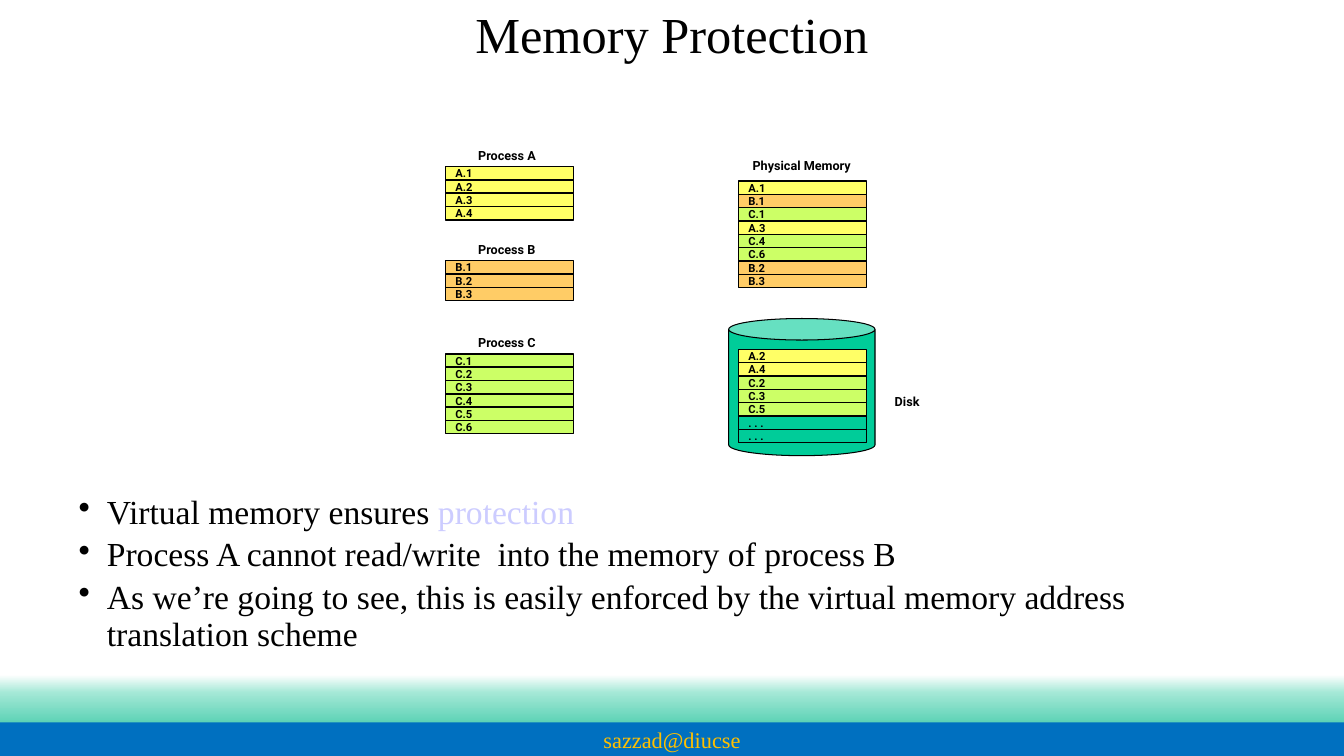
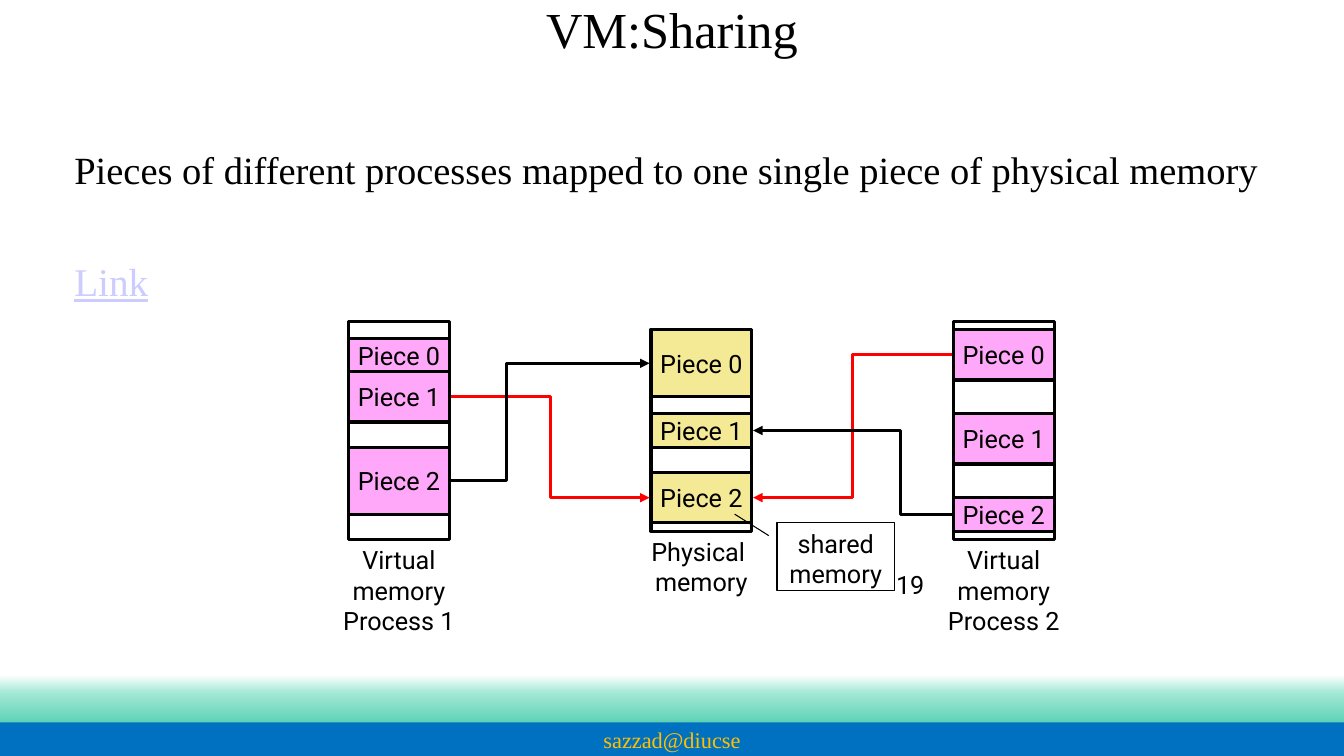
from dataclasses import dataclass

from pptx import Presentation
from pptx.dml.color import RGBColor as RGB
from pptx.enum.shapes import MSO_CONNECTOR as LINK, MSO_SHAPE as KIND
from pptx.enum.text import MSO_ANCHOR as ANCHOR, PP_ALIGN as ALIGN
from pptx.oxml.ns import qn
from pptx.util import Pt
from lxml.etree import SubElement as sub


@dataclass(frozen=True)
class Theme:
    serif: str = "Times New Roman"
    sans: str = "Roboto"
    black: str = "000000"
    white: str = "FFFFFF"
    blue: str = "0070C0"
    gold: str = "FFC000"
    mint: str = "A3E8D6"
    sea: str = "5CD2B5"
    lilac: str = "CCCCFF"
    yellow: str = "FFFF66"
    orange: str = "FFCC66"
    lime: str = "CCFF66"
    green: str = "00CC99"
    pink: str = "FFA7F9"
    sand: str = "F4E994"
    red: str = "FF0000"
    title: float = 36
    lead: float = 27.5
    link: float = 28
    body: float = 24
    label: float = 18
    foot: float = 16
    small: float = 9
    cell: float = 8


T = Theme()
WIDE, HIGH = 960, 540


def box(slide, kind, rect, fill=None, line=None, weight=1):
    """Add a preset shape, or a text box when kind is None."""
    rect = [Pt(n) for n in rect]
    if kind is None:
        return slide.shapes.add_textbox(*rect)
    shape = slide.shapes.add_shape(kind, *rect)
    shape.shadow.inherit = False
    if fill:
        shape.fill.solid()
        shape.fill.fore_color.rgb = RGB.from_string(fill)
    else:
        shape.fill.background()
    if line:
        shape.line.color.rgb = RGB.from_string(line)
        shape.line.width = Pt(weight)
    else:
        shape.line.fill.background()
    return shape


def write(shape, text, size, font=T.sans, color=T.black, bold=False,
          align=ALIGN.CENTER, anchor=ANCHOR.TOP, wrap=True, pad=(7.2, 3.6)):
    """Fill a shape with text, one paragraph a line; pad is (side, top)."""
    frame = shape.text_frame
    frame.text = text
    frame.word_wrap = wrap
    frame.vertical_anchor = anchor
    frame.margin_left = frame.margin_right = Pt(pad[0])
    frame.margin_top = frame.margin_bottom = Pt(pad[1])
    for para in frame.paragraphs:
        para.alignment = align
        for run in para.runs:
            run.font.name = font
            run.font.size = Pt(size)
            run.font.bold = bold
            run.font.color.rgb = RGB.from_string(color)
    return frame.paragraphs


deck = Presentation()
deck.slide_width, deck.slide_height = Pt(WIDE), Pt(HIGH)

# Shared frame: fading band, footer and title
slides = []
for title, top in (("Memory Protection", 0), ("VM:Sharing", -4)):
    slide = deck.slides.add_slide(deck.slide_layouts[6])
    slides.append(slide)
    for y, high, start, end in ((482, 13, T.white, T.mint),
                                (495, 21.5, T.mint, T.sea)):
        band = box(slide, KIND.RECTANGLE, (0, y, WIDE, high))
        band.fill.gradient()
        band.fill.gradient_angle = 270
        for stop, tone in zip(band.fill.gradient_stops, (start, end)):
            stop.color.rgb = RGB.from_string(tone)
    foot = box(slide, KIND.RECTANGLE, (0, 516, WIDE, 24), T.blue)
    write(foot, "sazzad@diucse", T.foot, T.serif, T.gold,
          anchor=ANCHOR.MIDDLE)
    head = box(slide, None, (162, top, 636, 48))
    write(head, title, T.title, T.serif, anchor=ANCHOR.MIDDLE)

guard, share = slides

# Memory protection: bullets
points = write(
    box(guard, None, (49, 350, 791, 157)),
    "Virtual memory ensures \n"
    "Process A cannot read/write  into the memory of process B\n"
    "As we’re going to see, this is easily enforced by the virtual memory "
    "address translation scheme",
    T.body, T.serif, align=ALIGN.LEFT)
run = points[0].add_run()
run.text = "protection"
run.font.name, run.font.size = T.serif, Pt(T.body)
run.font.color.rgb = RGB.from_string(T.lilac)
for para in points:
    para.line_spacing = 0.9
    para.space_before = Pt(4.8)
    props = para._p.get_or_add_pPr()
    props.set("marL", str(Pt(20.25)))
    props.set("indent", str(-Pt(20.25)))
    sub(props, qn("a:buChar")).set("char", "•")

# Memory protection: page stacks
disk = box(guard, KIND.CAN, (520.5, 227.5, 104.5, 98), T.green, T.black, 0.75)
disk.adjustments[0] = 0.157

for text, x, y, wide in (("Process A", 334.5, 102, 58),
                         ("Process B", 334.5, 169, 58),
                         ("Process C", 334.5, 235.5, 58),
                         ("Physical Memory", 530.5, 109.5, 88),
                         ("Disk", 632, 277.5, 34)):
    write(box(guard, None, (x, y, wide, 18)), text, T.small, bold=True,
          align=ALIGN.LEFT, wrap=False)

ROW = 9.52
tones = {"A": T.yellow, "B": T.orange, "C": T.lime}
for x, y, pages in (
        (318.2, 119, "A.1 A.2 A.3 A.4"),
        (318.2, 186.3, "B.1 B.2 B.3"),
        (318.2, 252.8, "C.1 C.2 C.3 C.4 C.5 C.6"),
        (527.4, 129.4, "A.1 B.1 C.1 A.3 C.4 C.6 B.2 B.3"),
        (527.4, 249.6, "A.2 A.4 C.2 C.3 C.5 ... ...")):
    for i, page in enumerate(pages.split()):
        cell = box(guard, KIND.RECTANGLE, (x, y + i * ROW, 91.5, ROW),
                   tones.get(page[0]), T.black)
        write(cell, ". . ." if page == "..." else page, T.cell, bold=True,
              align=ALIGN.LEFT, anchor=ANCHOR.MIDDLE, pad=(7.2, 0))

# Sharing: text
write(box(share, None, (633, 403, 150, 36)), "19", T.label, align=ALIGN.LEFT)
lead, link = write(
    box(share, None, (46, 101, 866, 353)),
    "Pieces of different processes mapped to one single piece of "
    "physical memory\nLink", T.lead, T.serif, align=ALIGN.LEFT)
lead.space_before = Pt(5.5)
link.space_before = Pt(46)
font = link.runs[0].font
font.size, font.underline = Pt(T.link), True
font.color.rgb = RGB.from_string(T.lilac)

# Sharing: memory columns, each piece as (top, height)
for x, y, high, tone, name, pieces in (
        (249, 229.5, 156, T.pink, "Virtual memory\nProcess 1",
         ((241.5, 24), (265.5, 36), (319.5, 48))),
        (465, 235.5, 144, T.sand, "Physical \nmemory",
         ((235.5, 48), (295.5, 24), (337.5, 36))),
        (681, 229.5, 156, T.pink, "Virtual memory\nProcess 2",
         ((235.5, 36), (295.5, 36), (355.5, 24)))):
    box(share, KIND.RECTANGLE, (x, y, 72, high), T.white, T.black, 2.25)
    for i, (top, tall) in enumerate(pieces):
        piece = box(share, KIND.RECTANGLE, (x, top, 72, tall),
                    tone, T.black, 2.25)
        write(piece, f"Piece {i}", T.label, anchor=ANCHOR.MIDDLE, wrap=False,
              pad=(0, 0))
    write(box(share, None, (x - 14, y + high, 100, 72)), name, T.label)

# Sharing: mappings, with the bend as a share of the width
for x1, y1, x2, y2, tone, bend in (
        (322, 283.5, 464, 355.5, T.red, 0.5),
        (322, 343.5, 464, 259.5, T.black, 0.28),
        (680, 253.5, 538, 355.5, T.red, 0.5),
        (680, 367.5, 538, 307.5, T.black, 0.26)):
    arrow = share.shapes.add_connector(LINK.ELBOW, Pt(x1), Pt(y1),
                                       Pt(x2), Pt(y2))
    arrow.line.color.rgb = RGB.from_string(tone)
    arrow.line.width = Pt(2.25)
    props = arrow._element.spPr
    guide = sub(props.find(qn("a:prstGeom")).find(qn("a:avLst")), qn("a:gd"))
    guide.set("name", "adj1")
    guide.set("fmla", f"val {round(bend * 100000)}")
    sub(props.find(qn("a:ln")), qn("a:tailEnd")).set("type", "triangle")
    sub(props, qn("a:effectLst"))

note = box(share, KIND.LINE_CALLOUT_2, (555, 373.5, 84, 48),
           T.white, T.black, 0.75)
for i, value in enumerate((0.19, -0.07, 0.19, -0.07, -0.13, -0.36)):
    note.adjustments[i] = value
write(note, "shared\nmemory", T.label)

deck.save("out.pptx")
